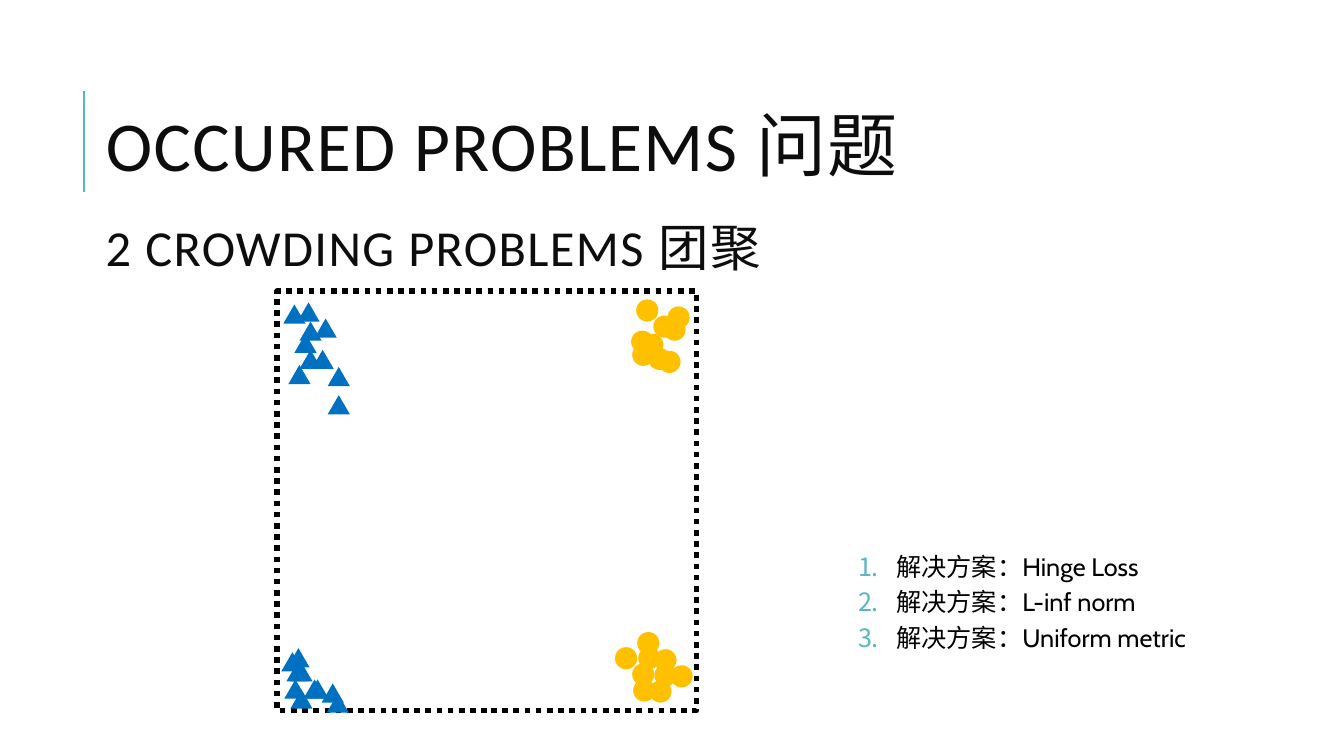
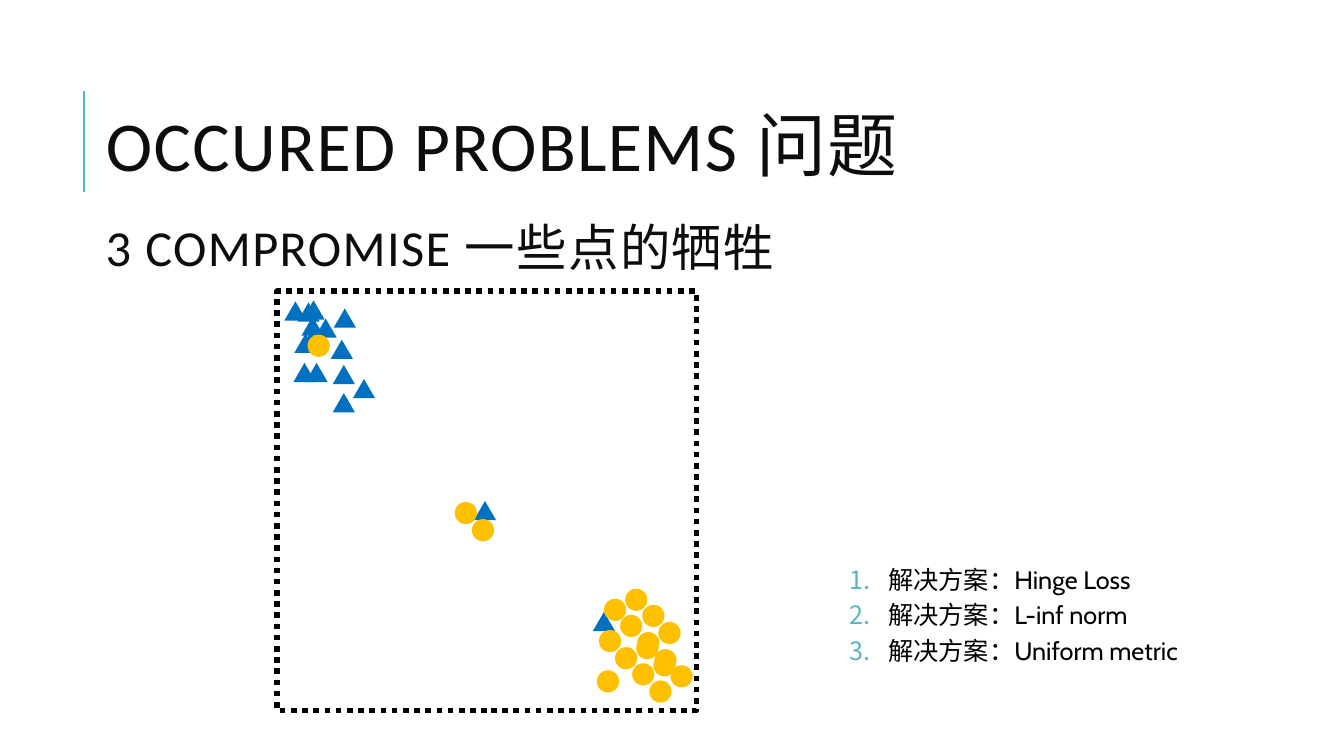
from dataclasses import dataclass

from lxml.etree import SubElement
from pptx import Presentation
from pptx.dml.color import RGBColor
from pptx.enum.dml import MSO_LINE
from pptx.enum.shapes import MSO_CONNECTOR, MSO_SHAPE
from pptx.enum.text import MSO_ANCHOR, MSO_AUTO_SIZE, PP_ALIGN
from pptx.oxml.ns import qn
from pptx.util import Inches, Pt


@dataclass(frozen=True)
class Theme:
    accent: RGBColor = RGBColor.from_string("58B6C0")
    heading: RGBColor = RGBColor.from_string("0D0D0D")
    ink: RGBColor = RGBColor.from_string("000000")
    blue: RGBColor = RGBColor.from_string("0070C0")
    yellow: RGBColor = RGBColor.from_string("FFC000")
    heading_font: str = "Calibri"
    body_font: str = "Cabin"
    title_size: Pt = Pt(50)
    subtitle_size: Pt = Pt(36)
    body_size: Pt = Pt(18)


theme = Theme()

TITLE = "OCCURED PROBLEMS 问题"
SOLUTIONS = ["解决方案：Hinge Loss", "解决方案：L-inf norm", "解决方案：Uniform metric"]

PROBLEMS = [
    {
        "subtitle": "2 CROWDING PROBLEMS 团聚",
        "solutions_at": (8.46, 5.45),
        "triangles": [
            (2.95, 3), (3.12, 3.16), (2.81, 3.02), (2.92, 3.31), (3.09, 3.47),
            (2.86, 3.62), (2.97, 3.19), (3.25, 3.64), (2.97, 3.47), (3.25, 3.92),
            (2.85, 6.43), (2.88, 6.84), (2.84, 6.57), (2.82, 6.74), (2.88, 6.57),
            (2.79, 6.47), (3.01, 6.74), (3.04, 6.74), (3.24, 6.88), (3.19, 6.78),
        ],
        "circles": [
            (6.33, 6.42), (6.49, 6.59), (6.32, 6.27), (6.49, 6.44), (6.65, 6.6),
            (6.28, 6.74), (6.1, 6.42), (6.27, 6.58), (6.44, 6.75),
            (6.31, 2.97), (6.48, 3.13), (6.27, 3.41), (6.58, 3.16), (6.62, 3.04),
            (6.26, 3.28), (6.43, 3.45), (6.36, 3.31), (6.53, 3.48),
        ],
    },
    {
        "subtitle": "3 COMPROMISE 一些点的牺牲",
        "solutions_at": (8.38, 5.58),
        "triangles": [
            (2.95, 3), (3.12, 3.16), (2.82, 2.99), (2.92, 3.31), (2.99, 3.14),
            (4.7, 4.97), (3, 2.98), (3.31, 3.06), (3.03, 3.6), (2.97, 3.29),
            (3.28, 3.37), (2.91, 3.6), (5.88, 6.07), (3.3, 3.62), (3.5, 3.76),
            (3.3, 3.9),
        ],
        "circles": [
            (5.99, 5.94), (6.15, 6.1), (6.32, 6.27), (6.49, 6.44), (6.65, 6.6),
            (5.94, 6.25), (6.1, 6.42), (6.27, 6.58), (6.44, 6.75), (3.05, 3.32),
            (6.2, 5.84), (6.37, 6), (6.53, 6.17), (5.92, 6.65), (4.51, 4.98),
            (4.68, 5.15), (6.31, 6.32), (6.48, 6.49),
        ],
    },
]


def write_heading(frame, text, size):
    frame.word_wrap = True
    frame.auto_size = MSO_AUTO_SIZE.NONE
    frame.vertical_anchor = MSO_ANCHOR.MIDDLE
    paragraph = frame.paragraphs[0]
    paragraph.alignment = PP_ALIGN.LEFT
    paragraph.line_spacing = 0.8
    run = paragraph.add_run()
    run.text = text
    run.font.name = theme.heading_font
    run.font.size = size
    run.font.color.rgb = theme.heading
    run.font._element.set("spc", "100")


def number_paragraph(paragraph):
    properties = paragraph._p.get_or_add_pPr()
    properties.set("marL", str(Inches(0.38)))
    properties.set("indent", str(-Inches(0.38)))
    bullet_color = SubElement(properties, qn("a:buClr"))
    SubElement(bullet_color, qn("a:srgbClr"), val=str(theme.accent))
    SubElement(properties, qn("a:buAutoNum"), type="arabicPeriod")


deck = Presentation()
deck.slide_width = Inches(13.33)
deck.slide_height = Inches(7.5)

layout = deck.slide_layouts[1]
layout_title = layout.placeholders.get(idx=0)
layout_title.left, layout_title.top = Inches(0.95), Inches(0.68)
layout_title.width, layout_title.height = Inches(10.86), Inches(1.64)

for problem in PROBLEMS:
    slide = deck.slides.add_slide(layout)
    write_heading(slide.shapes.title.text_frame, TITLE, theme.title_size)

    solutions = slide.placeholders[1]
    left, top = problem["solutions_at"]
    solutions.left, solutions.top = Inches(left), Inches(top)
    solutions.width, solutions.height = Inches(4.6), Inches(1.9)
    solutions_frame = solutions.text_frame
    solutions_frame.auto_size = MSO_AUTO_SIZE.NONE
    solutions_frame.margin_left = solutions_frame.margin_right = Inches(0.05)
    solutions_frame.margin_top = solutions_frame.margin_bottom = Inches(0.05)
    for index, solution in enumerate(SOLUTIONS):
        paragraph = solutions_frame.add_paragraph() if index else solutions_frame.paragraphs[0]
        paragraph.line_spacing = 0.9
        paragraph.space_before = Pt(0)
        paragraph.space_after = Pt(6)
        number_paragraph(paragraph)
        run = paragraph.add_run()
        run.text = solution
        run.font.name = theme.body_font
        run.font.size = theme.body_size
        run.font.color.rgb = theme.ink

    subtitle = slide.shapes.add_textbox(Inches(0.95), Inches(1.68), Inches(10.86), Inches(1.64))
    write_heading(subtitle.text_frame, problem["subtitle"], theme.subtitle_size)

    plot_frame = slide.shapes.add_shape(
        MSO_SHAPE.RECTANGLE, Inches(2.75), Inches(2.89), Inches(4.16), Inches(4.16)
    )
    plot_frame.shadow.inherit = False
    plot_frame.fill.background()
    plot_frame.line.color.rgb = theme.ink
    plot_frame.line.width = Pt(4)
    plot_frame.line.dash_style = MSO_LINE.ROUND_DOT

    for points, preset, height, color in (
        (problem["triangles"], MSO_SHAPE.ISOSCELES_TRIANGLE, 0.19, theme.blue),
        (problem["circles"], MSO_SHAPE.OVAL, 0.22, theme.yellow),
    ):
        for x, y in points:
            marker = slide.shapes.add_shape(
                preset, Inches(x), Inches(y), Inches(0.22), Inches(height)
            )
            marker.shadow.inherit = False
            marker.fill.solid()
            marker.fill.fore_color.rgb = color
            marker.line.fill.background()

title_rule = slide.shapes.add_connector(
    MSO_CONNECTOR.STRAIGHT, Inches(0.83), Inches(1.9), Inches(0.83), Inches(0.9)
)
title_rule.line.color.rgb = theme.accent
title_rule.line.width = Pt(1.5)
SubElement(title_rule._element.spPr, qn("a:effectLst"))
layout.shapes.element.append(title_rule._element)

deck.save("out.pptx")
